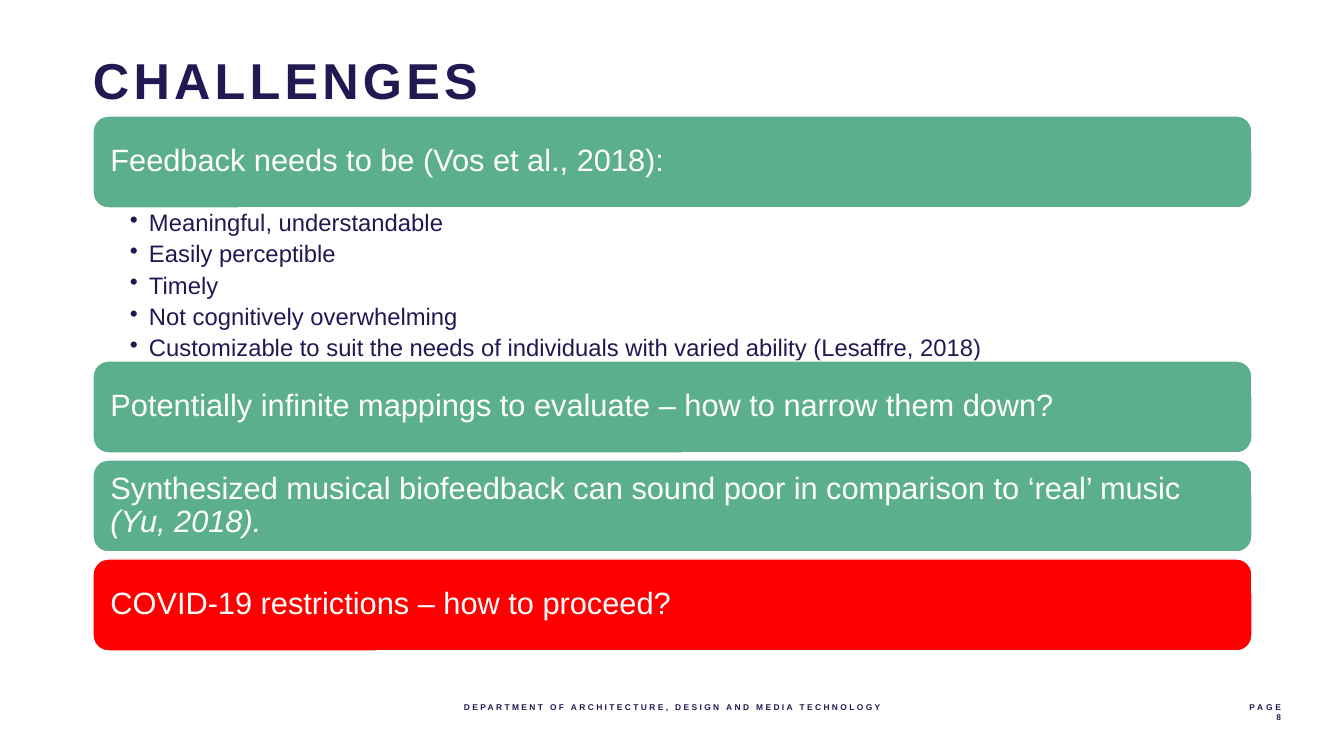
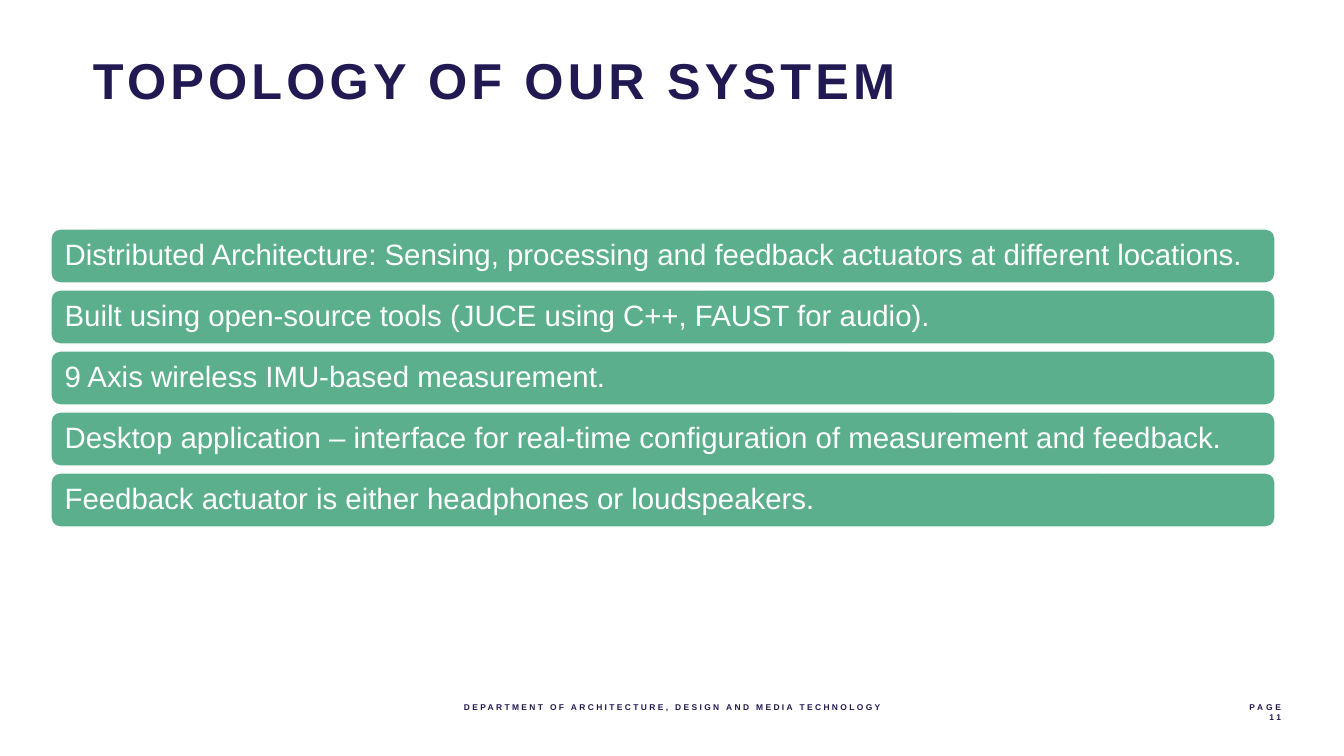
from lxml import etree
from pptx import Presentation
from pptx.dml.color import RGBColor
from pptx.enum import shapes, text
from pptx.oxml import ns
from pptx.util import Emu, Pt

SCALE = 914400 / 100.8  # EMU per px
WIDTH, HEIGHT = 1344, 756
COLORS = {"navy": "211A52", "green": "5CAF8D", "red": "FF0000", "white": "FFFFFF"}
FONT = "Arial"
FOOTER = "DEPARTMENT OF ARCHITECTURE, DESIGN AND MEDIA TECHNOLOGY"
FOOTER_TOP, FOOTER_HEIGHT = 702, 31


def px(length):
    return Emu(round(length * SCALE))


def color(name):
    return RGBColor.from_string(COLORS[name])


class Deck:
    def __init__(self):
        self.deck = Presentation()
        self.deck.slide_width, self.deck.slide_height = px(WIDTH), px(HEIGHT)
        self.page = None

    def add_page(self, title, number):
        """Start a slide with the shared title, footer and page number."""
        self.page = self.deck.slides.add_slide(self.deck.slide_layouts[6])
        self.label((93, 49, 1182, 66), [title], 36, spacing=3)
        self.label((0, FOOTER_TOP, WIDTH, FOOTER_HEIGHT), [FOOTER], 6, spacing=1.7,
                   align=text.PP_ALIGN.CENTER)
        self.label((1125, FOOTER_TOP, 156, FOOTER_HEIGHT), ["PAGE", str(number)], 6,
                   spacing=2, align=text.PP_ALIGN.RIGHT)

    def frame(self, shape, insets, anchor=text.MSO_ANCHOR.TOP):
        frame = shape.text_frame
        frame.word_wrap = True
        frame.vertical_anchor = anchor
        (frame.margin_left, frame.margin_top,
         frame.margin_right, frame.margin_bottom) = map(px, insets)
        return frame

    def text_box(self, area, insets=(0, 0, 0, 0)):
        return self.frame(self.page.shapes.add_textbox(*map(px, area)), insets)

    def paragraphs(self, frame, lines):
        """Yield one paragraph per line, reusing the empty first one."""
        for index, line in enumerate(lines):
            para = frame.add_paragraph() if index else frame.paragraphs[0]
            yield para, line

    def style(self, para, size, ink, bold=False):
        para.font.name = FONT
        para.font.size = Pt(size)
        para.font.bold = bold
        para.font.color.rgb = color(ink)

    def label(self, area, lines, size, spacing, align=text.PP_ALIGN.LEFT):
        """Add bold, letter-spaced text; spacing is in points."""
        for para, line in self.paragraphs(self.text_box(area), lines):
            span = para.add_run()
            span.text = line
            span._r.get_or_add_rPr().set("spc", str(round(spacing * 100)))
            para.alignment = align
            self.style(para, size, "navy", bold=True)

    def bar(self, area, words, size, inset, fill="green", italic_tail=""):
        box = self.page.shapes.add_shape(
            shapes.MSO_SHAPE.ROUNDED_RECTANGLE, *map(px, area))
        box.shadow.inherit = False
        box.fill.solid()
        box.fill.fore_color.rgb = color(fill)
        box.line.color.rgb = color("white")
        box.line.width = Pt(1)
        frame = self.frame(box, (inset,) * 4, text.MSO_ANCHOR.MIDDLE)
        para = frame.paragraphs[0]
        para.add_run().text = words
        if italic_tail:
            span = para.add_run()
            span.text = italic_tail
            span.font.italic = True
        para.alignment = text.PP_ALIGN.LEFT
        para.line_spacing = 0.9
        self.style(para, size, "white")

    def bullets(self, area, lines, size):
        frame = self.text_box(area, (37, 3, 17, 3))
        for para, line in self.paragraphs(frame, lines):
            para.add_run().text = line
            props = para._p.get_or_add_pPr()
            props.set("marL", str(px(19)))
            props.set("indent", str(px(-19)))
            etree.SubElement(props, ns.qn("a:buChar")).set("char", "•")
            para.line_spacing = 0.9
            para.space_after = Pt(4)
            self.style(para, size, "navy")


def challenges(deck):
    deck.add_page("CHALLENGES", 8)
    left, width, height, pitch = 93, 1159, 92, 99
    first_top, second_top = 116, 361
    deck.bar((left, first_top, width, height),
             "Feedback needs to be (Vos et al., 2018):", 22, 13)
    deck.bullets((left, first_top + height, width, 153), [
        "Meaningful, understandable",
        "Easily perceptible",
        "Timely",
        "Not cognitively overwhelming",
        "Customizable to suit the needs of individuals with varied ability (Lesaffre, 2018)",
    ], 17)
    bars = [
        ("Potentially infinite mappings to evaluate – how to narrow them down?", "green", ""),
        ("Synthesized musical biofeedback can sound poor in comparison to ‘real’ music ",
         "green", "(Yu, 2018)."),
        ("COVID-19 restrictions – how to proceed?", "red", ""),
    ]
    for row, (words, fill, tail) in enumerate(bars):
        deck.bar((left, second_top + row * pitch, width, height),
                 words, 22, 13, fill, tail)


def topology(deck):
    deck.add_page("TOPOLOGY OF OUR SYSTEM", 11)
    top, pitch = 229, 61
    for row, words in enumerate([
        "Distributed Architecture: Sensing, processing and feedback actuators at different locations.",
        "Built using open-source tools (JUCE using C++, FAUST for audio).",
        "9 Axis wireless IMU-based measurement.",
        "Desktop application – interface for real-time configuration of measurement and feedback.",
        "Feedback actuator is either headphones or loudspeakers.",
    ]):
        deck.bar((51, top + row * pitch, 1224, 54), words, 21, 11)


def main():
    deck = Deck()
    challenges(deck)
    topology(deck)
    deck.deck.save("out.pptx")


if __name__ == "__main__":
    main()
